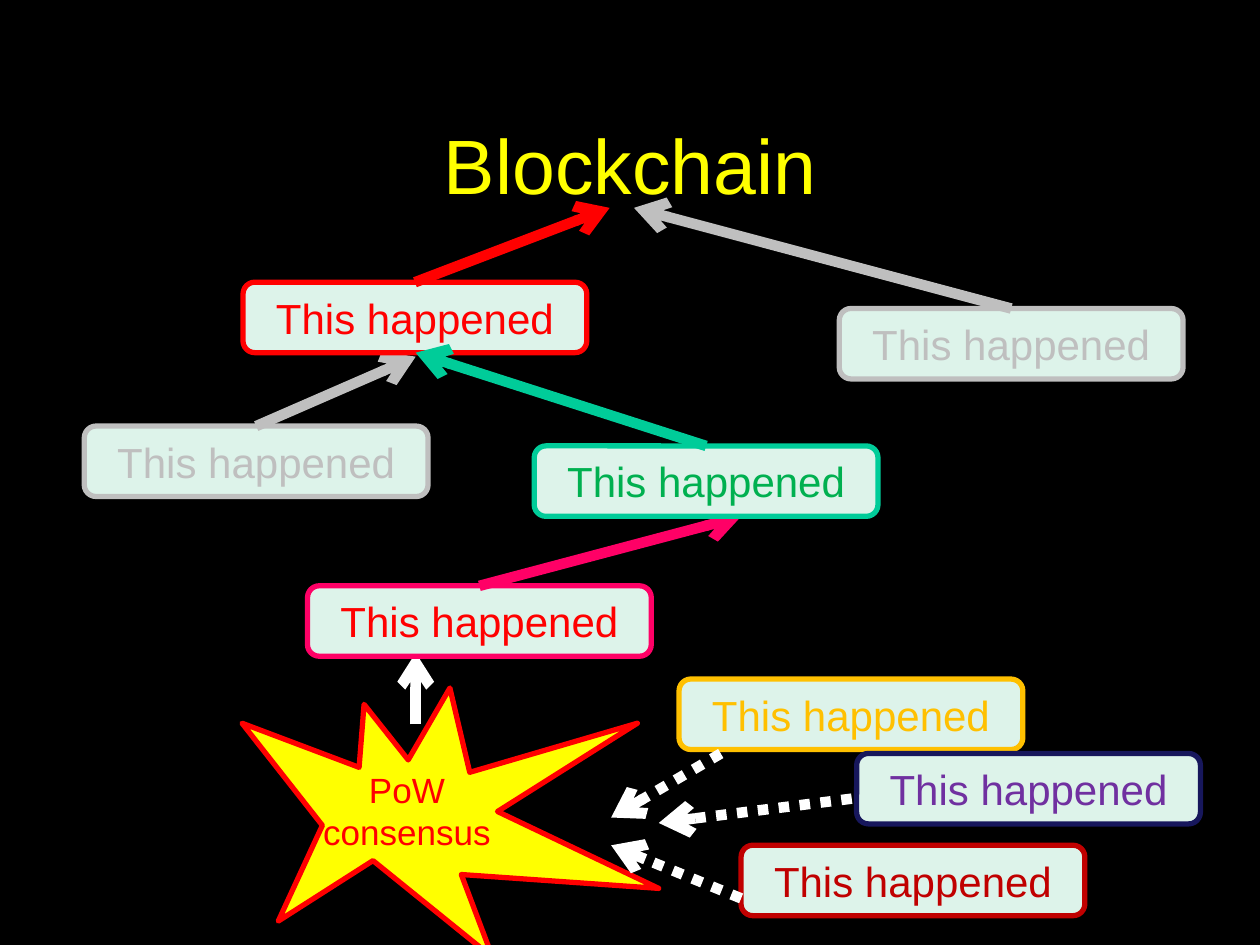
from lxml.etree import SubElement
from pptx import Presentation
from pptx.dml.color import RGBColor
from pptx.enum.dml import MSO_LINE
from pptx.enum.shapes import MSO_CONNECTOR, MSO_SHAPE
from pptx.enum.text import MSO_ANCHOR, PP_ALIGN
from pptx.oxml.ns import qn
from pptx.util import Cm, Pt

HUE = {
    "black": "000000", "white": "FFFFFF", "yellow": "FFFF00", "mint": "DDF3EA",
    "grey": "BFBFBF", "red": "FF0000", "pink": "FF0066", "teal": "00CC99",
    "green": "00B050", "gold": "FFC000", "navy": "17175C", "purple": "7030A0",
    "wine": "C00000",
}
WIDE, HIGH = 6.93, 1.42
STAR = [
    (8.23, 15.32), (7.34, 14.2), (7.24, 15.47), (4.88, 14.58), (6.5, 16.64),
    (5.61, 18.57), (7.52, 17.35), (9.93, 19.3), (9.3, 17.63), (13.28, 17.91),
    (10.03, 16.36), (12.85, 14.58), (9.47, 15.57), (9.07, 13.87),
]
LOOSE = [
    (13.69, 13.69, "gold", "gold"),
    (14.94, 17.04, "wine", "wine"),
    (17.27, 15.19, "navy", "purple"),
]
DOTS = [
    ((17.17, 16.1), (13.28, 16.59)),
    ((14.53, 15.19), (12.32, 16.48)),
    ((14.94, 18.11), (12.32, 17.04)),
]
CHAIN = [
    (6.2, 11.81, "pink", "red", (14.94, 10.41)),
    (10.77, 8.99, "teal", "green", (8.38, 7.11)),
    (16.92, 6.22, "grey", "grey", (12.78, 4.19)),
]


def tint(name):
    return RGBColor.from_string(HUE[name])


def write(frame, text, size, hue, anchor=MSO_ANCHOR.MIDDLE, wrap=True):
    frame.text = text
    frame.word_wrap = wrap
    frame.vertical_anchor = anchor
    for para in frame.paragraphs:
        para.alignment = PP_ALIGN.CENTER
        for run in para.runs:
            run.font.name = "Arial"
            run.font.size = Pt(size)
            run.font.color.rgb = tint(hue)


def paint(shape, fill, edge):
    shape.shadow.inherit = False
    shape.fill.solid()
    shape.fill.fore_color.rgb = tint(fill)
    shape.line.color.rgb = tint(edge)
    shape.line.width = Pt(3)


def arrow(slide, start, end, hue, dash=None):
    ends = [Cm(n) for n in (*start, *end)]
    link = slide.shapes.add_connector(MSO_CONNECTOR.STRAIGHT, *ends)
    link.line.color.rgb = tint(hue)
    link.line.width = Pt(6)
    if dash:
        link.line.dash_style = dash
    props = link._element.spPr
    SubElement(props.find(qn("a:ln")), qn("a:tailEnd"), type="arrow")
    SubElement(props, qn("a:effectLst"))


def block(slide, left, top, edge, ink, tip=None):
    box = slide.shapes.add_shape(
        MSO_SHAPE.ROUNDED_RECTANGLE, Cm(left), Cm(top), Cm(WIDE), Cm(HIGH))
    paint(box, "mint", edge)
    write(box.text_frame, "This happened", 24, ink)
    if tip:
        arrow(slide, (left + WIDE / 2, top), tip, edge)


def burst(slide):
    points = [(Cm(x), Cm(y)) for x, y in STAR]
    pen = slide.shapes.build_freeform(*points[0])
    pen.add_line_segments(points[1:], close=True)
    paint(pen.convert_to_shape(), "yellow", "red")
    label = slide.shapes.add_textbox(Cm(6.25), Cm(15.37), Cm(3.91), Cm(1.96))
    write(label.text_frame, "PoW\nconsensus", 20, "red",
          anchor=MSO_ANCHOR.TOP, wrap=False)


def main():
    deck = Presentation()
    deck.slide_width, deck.slide_height = Cm(25.4), Cm(19.05)
    slide = deck.slides.add_slide(deck.slide_layouts[5])
    slide.background.fill.solid()
    slide.background.fill.fore_color.rgb = tint("black")

    title = slide.shapes.title
    title.left, title.top = Cm(1.91), Cm(1.7)
    title.width, title.height = Cm(21.59), Cm(3.18)
    write(title.text_frame, "Blockchain", 44, "yellow")

    block(slide, 1.7, 8.59, "grey", "grey", tip=(8.38, 7.19))
    burst(slide)
    block(slide, 4.9, 5.69, "red", "red", tip=(12.29, 4.19))
    for item in LOOSE:
        block(slide, *item)
    for start, end in DOTS:
        arrow(slide, start, end, "white", dash=MSO_LINE.ROUND_DOT)
    arrow(slide, (8.38, 14.6), (8.38, 13.16), "white")
    for item in CHAIN:
        block(slide, *item)
    deck.save("out.pptx")


if __name__ == "__main__":
    main()
